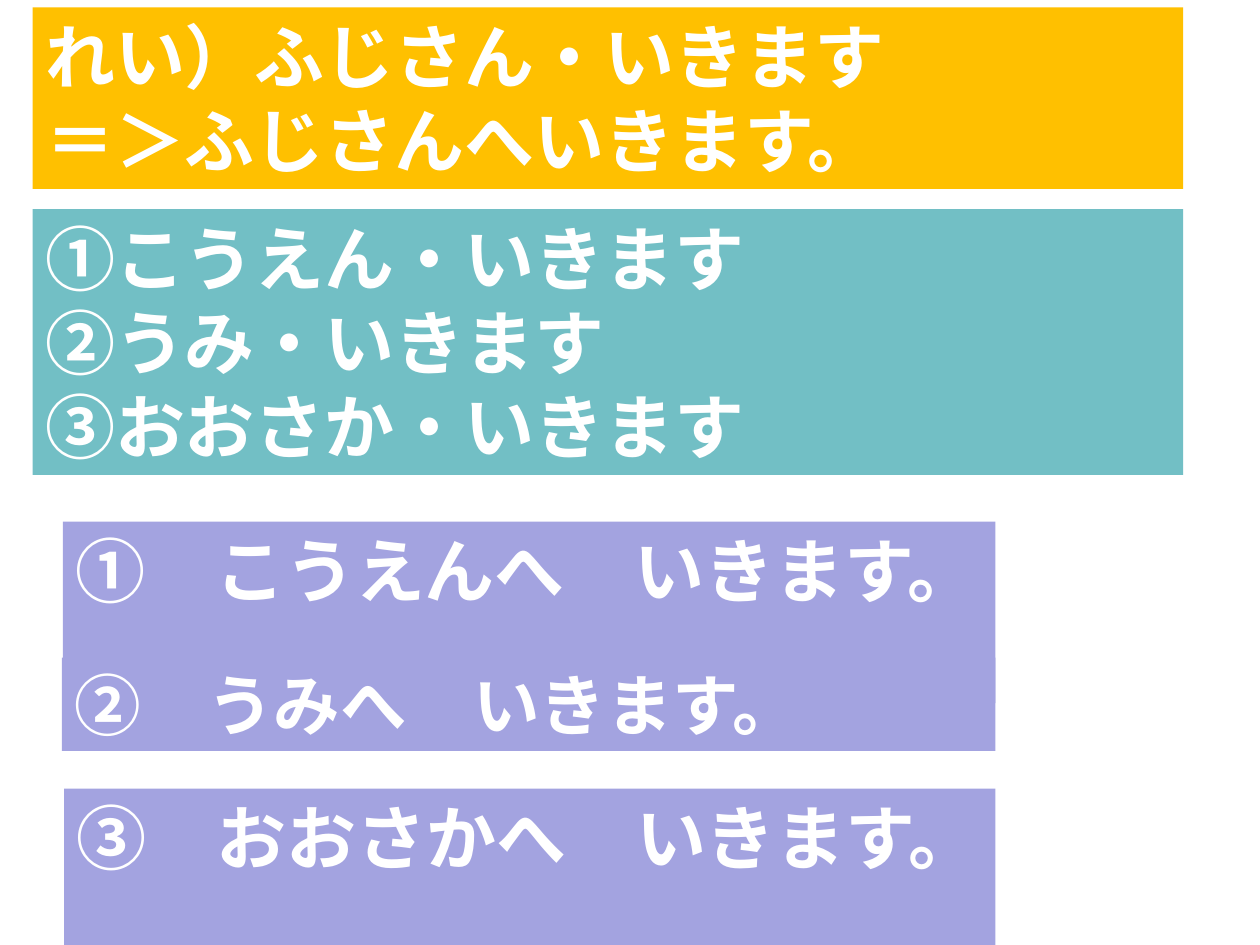
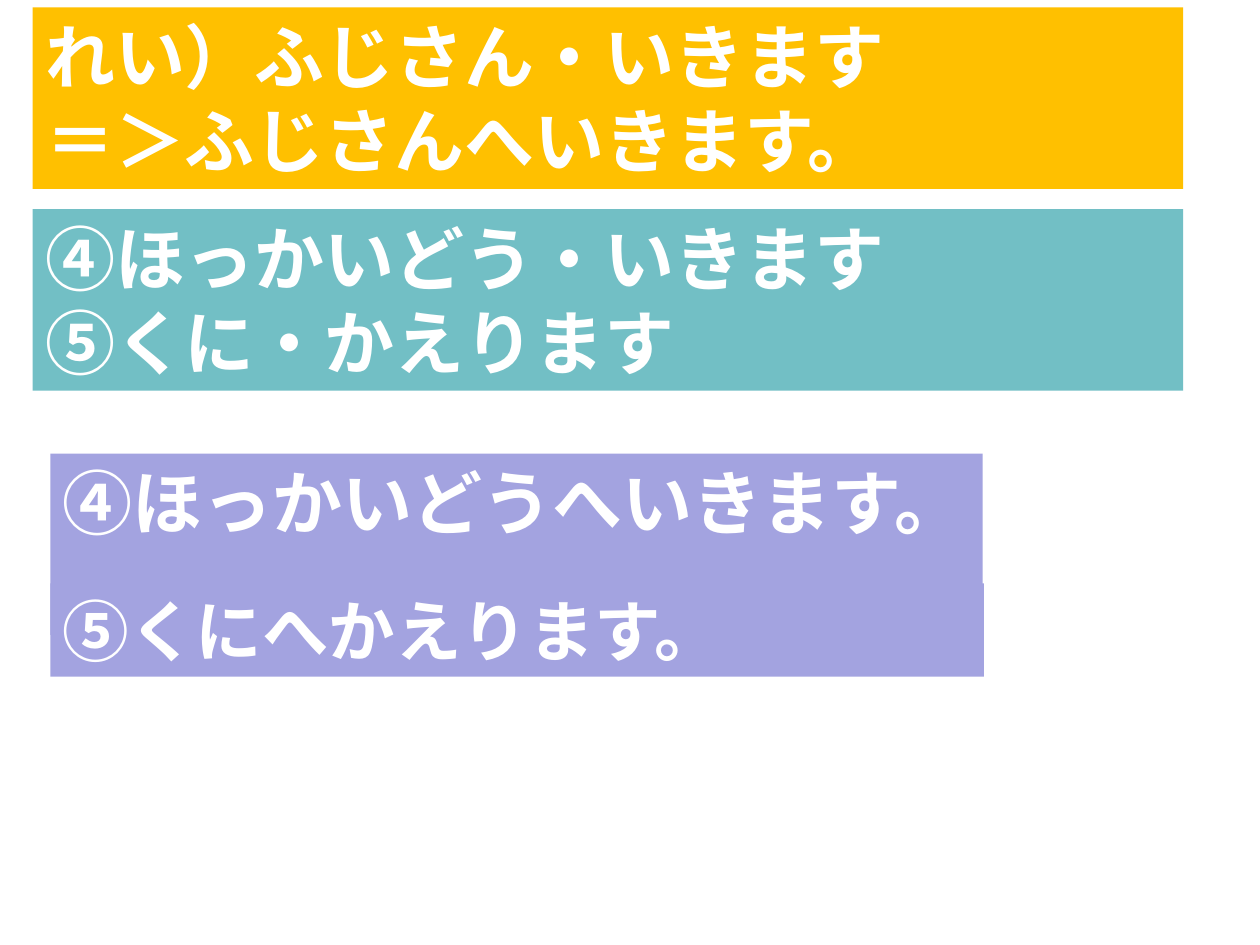
from lxml.etree import SubElement
from pptx import Presentation
from pptx.dml.color import RGBColor
from pptx.enum.shapes import MSO_SHAPE as Shape
from pptx.enum.text import MSO_ANCHOR as Anchor, PP_ALIGN as Align
from pptx.oxml.ns import qn
from pptx.util import Inches, Pt

FONT = "Noto Sans CJK JP"
WHITE, AMBER, TEAL, LAVENDER = "FFFFFF", "FFC000", "72BFC5", "A3A3E0"
SLIDE_WIDTH, SLIDE_HEIGHT = 10, 7.5
BAND_LEFT, BAND_WIDTH = 0.26, 9.13
EXAMPLE_TOP, QUESTION_TOP = 0.06, 1.66
LINE_HEIGHT, PADDING = 0.67, 0.05
TEXT_SIZE, SMALL_SIZE = 40, 38
TALL = 2 * LINE_HEIGHT + 2 * PADDING
SHORT = 0.74

EXAMPLE = ["れい）ふじさん・いきます", "＝＞ふじさんへいきます。"]

# Each answer: text, left, top, width, height, text size
EXERCISES = [
    {
        "questions": ["①こうえん・いきます", "②うみ・いきます", "③おおさか・いきます"],
        "answers": [
            ("①　こうえんへ　いきます。", 0.5, 4.14, 7.4, TALL, TEXT_SIZE),
            ("②　うみへ　いきます。", 0.49, 5.22, 7.41, SHORT, SMALL_SIZE),
            ("③　おおさかへ　いきます。", 0.51, 6.26, 7.39, TALL, TEXT_SIZE),
        ],
    },
    {
        "questions": ["④ほっかいどう・いきます", "⑤くに・かえります"],
        "answers": [
            ("④ほっかいどうへいきます。", 0.4, 3.6, 7.4, TALL, TEXT_SIZE),
            ("⑤くにへかえります。", 0.4, 4.63, 7.41, SHORT, SMALL_SIZE),
        ],
    },
]


def color(hex_string):
    return RGBColor.from_string(hex_string)


def style_paragraph(para, size):
    para.alignment = Align.LEFT
    font = para.font
    font.name, font.size, font.bold = FONT, Pt(size), True
    font.color.rgb = color(WHITE)
    defaults = para._p.pPr.find(qn("a:defRPr"))
    SubElement(defaults, qn("a:ea")).set("typeface", FONT)


def add_box(page, lines, left, top, width, height, fill, size=TEXT_SIZE):
    height = min(height, SLIDE_HEIGHT - top)
    box = page.shapes.add_shape(
        Shape.RECTANGLE, Inches(left), Inches(top), Inches(width), Inches(height))
    box.shadow.inherit = False
    box.fill.solid()
    box.fill.fore_color.rgb = color(fill)
    box.line.fill.background()
    frame = box.text_frame
    frame.word_wrap = True
    frame.vertical_anchor = Anchor.TOP
    frame.margin_top = frame.margin_bottom = Inches(PADDING)
    frame.text = "\n".join(lines)
    for para in frame.paragraphs:
        style_paragraph(para, size)


def add_band(page, lines, top, fill):
    """Add a wide band whose height follows its number of lines."""
    height = len(lines) * LINE_HEIGHT + 2 * PADDING
    add_box(page, lines, BAND_LEFT, top, BAND_WIDTH, height, fill)


def main():
    deck = Presentation()
    deck.slide_width, deck.slide_height = Inches(SLIDE_WIDTH), Inches(SLIDE_HEIGHT)
    blank = deck.slide_layouts.get_by_name("Blank")
    for exercise in EXERCISES:
        page = deck.slides.add_slide(blank)
        for text, left, top, width, height, size in exercise["answers"]:
            add_box(page, [text], left, top, width, height, LAVENDER, size)
        add_band(page, EXAMPLE, EXAMPLE_TOP, AMBER)
        add_band(page, exercise["questions"], QUESTION_TOP, TEAL)
    deck.save("out.pptx")


if __name__ == "__main__":
    main()
